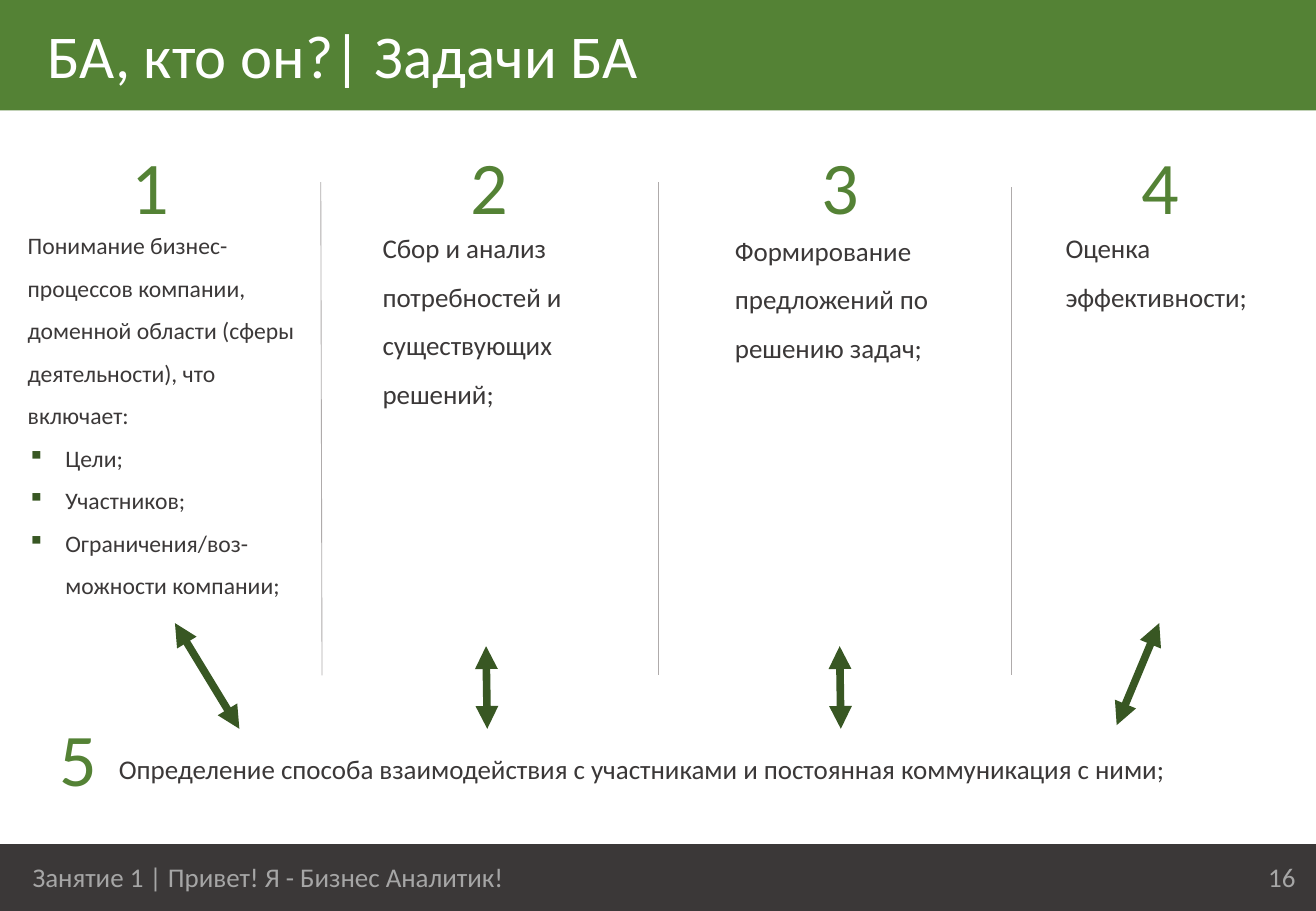
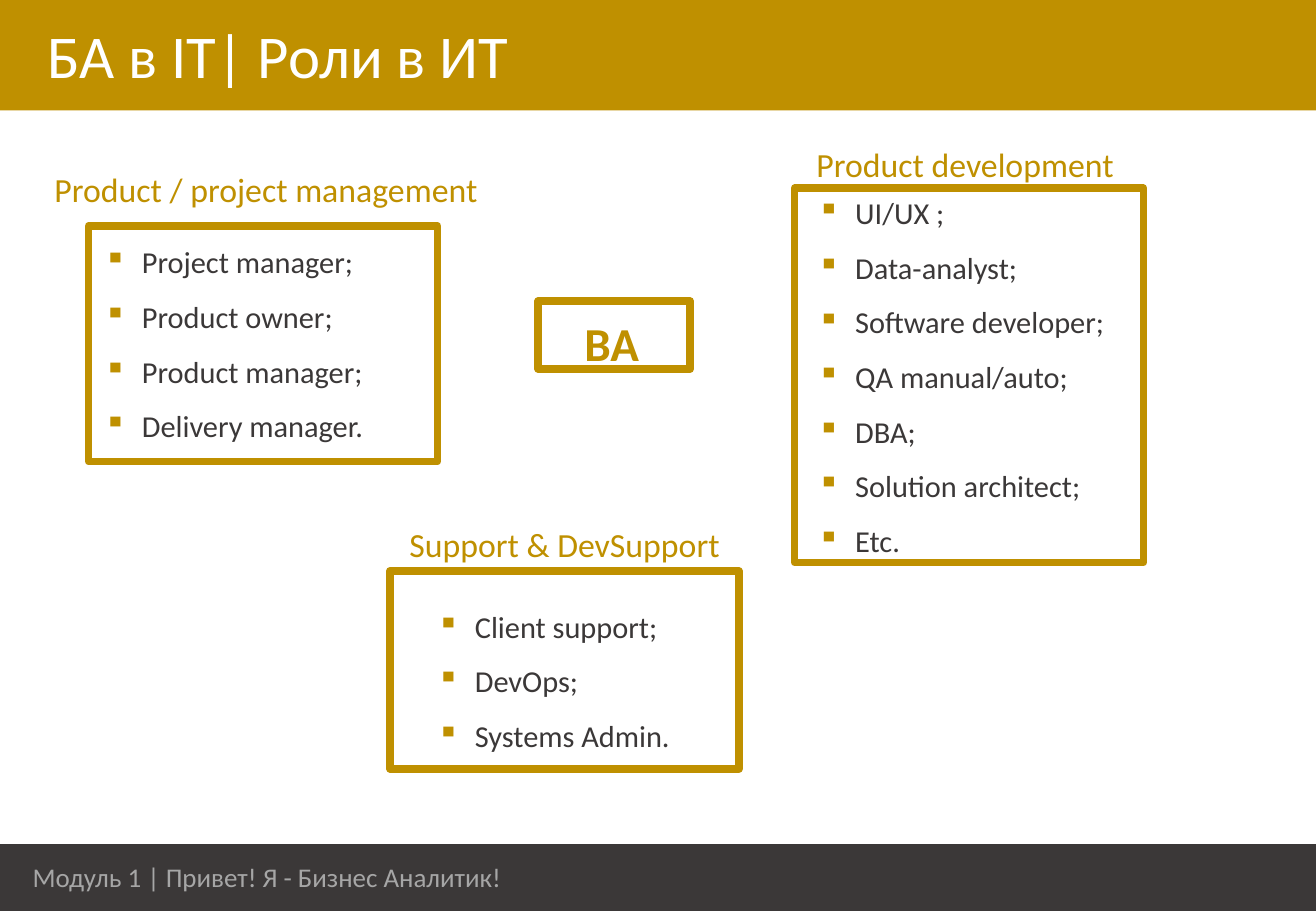
from lxml import etree
from pptx import Presentation
from pptx.dml.color import RGBColor
from pptx.enum.shapes import MSO_CONNECTOR as Connector, MSO_SHAPE as Shape
from pptx.enum.text import MSO_ANCHOR as Anchor, MSO_AUTO_SIZE as AutoSize, PP_ALIGN as Align
from pptx.oxml.ns import qn
from pptx.util import Inches, Pt

WIDTH, HEIGHT = 10.83, 7.5
BAND, FOOTER = 0.91, 0.55
FONT = "Calibri"
WHITE = RGBColor(0xFF, 0xFF, 0xFF)
DARK = RGBColor(0x3B, 0x38, 0x38)
MUTED = RGBColor(0xA6, 0xA6, 0xA6)
RULE = RGBColor(0xAF, 0xAB, 0xAB)
GREEN = RGBColor(0x54, 0x82, 0x35)
DEEP_GREEN = RGBColor(0x38, 0x57, 0x23)
GOLD = RGBColor(0xBF, 0x90, 0x00)

TITLE_STYLE = {"size": Pt(36), "color": WHITE}
FOOTER_STYLE = {"size": Pt(16), "color": MUTED}
NUMBER_STYLE = {"size": Pt(44), "color": GREEN}
SMALL_STYLE = {"size": Pt(14), "color": DARK}
TASK_STYLE = {"size": Pt(16), "color": DARK}
ROLE_STYLE = {"size": Pt(18), "color": DARK}
HEADING_STYLE = {"size": Pt(20), "color": GOLD}
ANALYST_STYLE = {"size": Pt(28), "color": GOLD, "bold": True}

NUMBER_BOX = (0.71, 0.84)
NUMBER_TOP, TASK_TOP = 1.1, 1.74
TASKS = [
    (0.88, (0.13, 2.5, 3.24), SMALL_STYLE,
     ["Понимание бизнес- процессов компании, доменной области (сферы деятельности), что включает:"],
     ["Цели;", "Участников;", "Ограничения/воз-можности компании;"]),
    (3.67, (3.05, 2.1, 1.67), TASK_STYLE,
     ["Сбор и анализ потребностей и существующих решений;"], []),
    (6.56, (5.95, 2.14, 1.31), TASK_STYLE,
     ["Формирование предложений по решению задач;"], []),
    (9.19, (8.67, 1.88, 0.87), TASK_STYLE, ["Оценка эффективности;"], []),
]
COMMON_TASK = "Определение способа взаимодействия с участниками и постоянная коммуникация с ними;"
DIVIDERS = [((2.64, 1.5), (2.65, 5.56)), ((5.42, 1.5), (5.42, 5.56)), ((8.32, 1.54), (8.32, 5.56))]
ARROWS = [((1.44, 5.13), (1.97, 6)), ((4, 5.32), (4.01, 6)),
          ((6.91, 5.32), (6.92, 6)), ((9.54, 5.13), (9.19, 5.97))]

FRAME_WIDTH = 2.87
ROLES = [
    ("Product / project management", (0.35, 1.2, 3.7, 0.55), (0.73, 1.86, 1.94), (0.76, 1.82, 1.87),
     ["Project manager;", "Product owner;", "Product manager;", "Delivery manager."]),
    ("Product development", (6.62, 0.99, 2.9, 0.55), (6.54, 1.55, 3.08), (6.63, 1.41, 3.23),
     ["UI/UX ;", "Data-analyst;", "Software developer;", "QA manual/auto;", "DBA;",
      "Solution architect;", "Etc."]),
    ("Support & DevSupport", (3.27, 4.12, 3.06, 0.55), (3.21, 4.7, 1.63), (3.5, 4.8, 1.46),
     ["Client support;", "DevOps;", "Systems Admin."]),
]


def inches(values):
    return [Inches(value) for value in values]


def style_text(para, style):
    para.font.name = FONT
    for name, value in style.items():
        if name == "color":
            para.font.color.rgb = value
        else:
            setattr(para.font, name, value)


def add_bullet(para, color):
    props = para._p.get_or_add_pPr()
    props.set("marL", str(Inches(0.31)))
    props.set("indent", str(-Inches(0.31)))
    fill = etree.SubElement(props, qn("a:buClr"))
    etree.SubElement(fill, qn("a:srgbClr"), val=str(color))
    etree.SubElement(props, qn("a:buChar"), char="▪")


def add_text(shapes, place, lines, style, bullets=(), bullet_color=None,
             align=Align.LEFT, spacing=None, grow=True):
    box = shapes.add_textbox(*inches(place))
    frame = box.text_frame
    frame.word_wrap = True
    frame.vertical_anchor = Anchor.MIDDLE
    frame.auto_size = AutoSize.SHAPE_TO_FIT_TEXT if grow else AutoSize.NONE
    for index, line in enumerate([*lines, *bullets]):
        para = frame.add_paragraph() if index else frame.paragraphs[0]
        para.text = line
        para.alignment = align
        if spacing:
            para.line_spacing = spacing
        if index >= len(lines):
            add_bullet(para, bullet_color)
        style_text(para, style)


def add_rect(shapes, place, fill=None, line=None):
    rect = shapes.add_shape(Shape.RECTANGLE, *inches(place))
    rect.shadow.inherit = False
    if fill is None:
        rect.fill.background()
    else:
        rect.fill.solid()
        rect.fill.fore_color.rgb = fill
    if line is None:
        rect.line.fill.background()
    else:
        rect.line.color.rgb = line
        rect.line.width = Pt(4.5)


def add_line(shapes, start, end, color, width, arrows=False):
    line = shapes.add_connector(Connector.STRAIGHT, *inches((*start, *end)))
    line.line.color.rgb = color
    line.line.width = Pt(width)
    if arrows:
        for tag in ("a:headEnd", "a:tailEnd"):
            etree.SubElement(line.line._get_or_add_ln(), qn(tag), type="triangle")
    etree.SubElement(line._element.spPr, qn("a:effectLst"))


def add_page(deck, title_text, footer_text, color, number=None):
    page = deck.slides.add_slide(deck.slide_layouts[5])
    shapes = page.shapes
    add_rect(shapes, (0, HEIGHT - FOOTER, WIDTH, FOOTER), DARK)
    add_text(shapes, (0.17, 7.06, 5.3, 0.32), [footer_text], FOOTER_STYLE, grow=False)
    if number:
        add_text(shapes, (8.32, 7.02, 2.44, 0.4), [number], FOOTER_STYLE,
                 align=Align.RIGHT, grow=False)
    add_rect(shapes, (0, 0, WIDTH, BAND), color)
    title = shapes.title
    title.left, title.top, title.width, title.height = inches((0.29, 0.1, 10.26, 0.71))
    title.text_frame.text = title_text
    title.text_frame.vertical_anchor = Anchor.TOP
    title.text_frame.auto_size = AutoSize.SHAPE_TO_FIT_TEXT
    para = title.text_frame.paragraphs[0]
    para.alignment = Align.LEFT
    style_text(para, TITLE_STYLE)
    shapes._spTree.append(title._element)
    return shapes


def build_tasks(deck):
    shapes = add_page(deck, "БА, кто он?| Задачи БА",
                      "Занятие 1 | Привет! Я - Бизнес Аналитик!", GREEN, "16")
    for _, (left, width, height), style, lines, bullets in TASKS:
        add_text(shapes, (left, TASK_TOP, width, height), lines, style,
                 bullets, DEEP_GREEN, spacing=1.5)
    add_text(shapes, (0.88, 6.03, 9.63, 0.46), [COMMON_TASK], TASK_STYLE, spacing=1.5)
    spots = [(task[0], NUMBER_TOP) for task in TASKS] + [(0.29, 5.81)]
    for number, spot in enumerate(spots, 1):
        add_text(shapes, (*spot, *NUMBER_BOX), [str(number)], NUMBER_STYLE, align=Align.CENTER)
    for start, end in DIVIDERS:
        add_line(shapes, start, end, RULE, 0.5)
    for start, end in ARROWS:
        add_line(shapes, start, end, DEEP_GREEN, 4.5, arrows=True)


def build_roles(deck):
    shapes = add_page(deck, "БА в ІТ| Роли в ИТ",
                      "Модуль 1 | Привет! Я - Бизнес Аналитик!", GOLD)
    for heading, heading_place, frame, roles_place, roles in ROLES:
        left, top, height = frame
        add_rect(shapes, (left, top, FRAME_WIDTH, height), line=GOLD)
        left, top, height = roles_place
        add_text(shapes, (left, top, FRAME_WIDTH, height), [], ROLE_STYLE, roles, GOLD, spacing=1.5)
        add_text(shapes, heading_place, [heading], HEADING_STYLE, spacing=1.5)
    analyst = shapes.add_group_shape().shapes
    add_text(analyst, (4.71, 2.34, 0.72, 0.73), ["BA"], ANALYST_STYLE, spacing=1.5)
    add_rect(analyst, (4.43, 2.48, 1.25, 0.56), line=GOLD)


def main():
    deck = Presentation()
    deck.slide_width, deck.slide_height = inches((WIDTH, HEIGHT))
    build_tasks(deck)
    build_roles(deck)
    deck.save("out.pptx")


if __name__ == "__main__":
    main()
